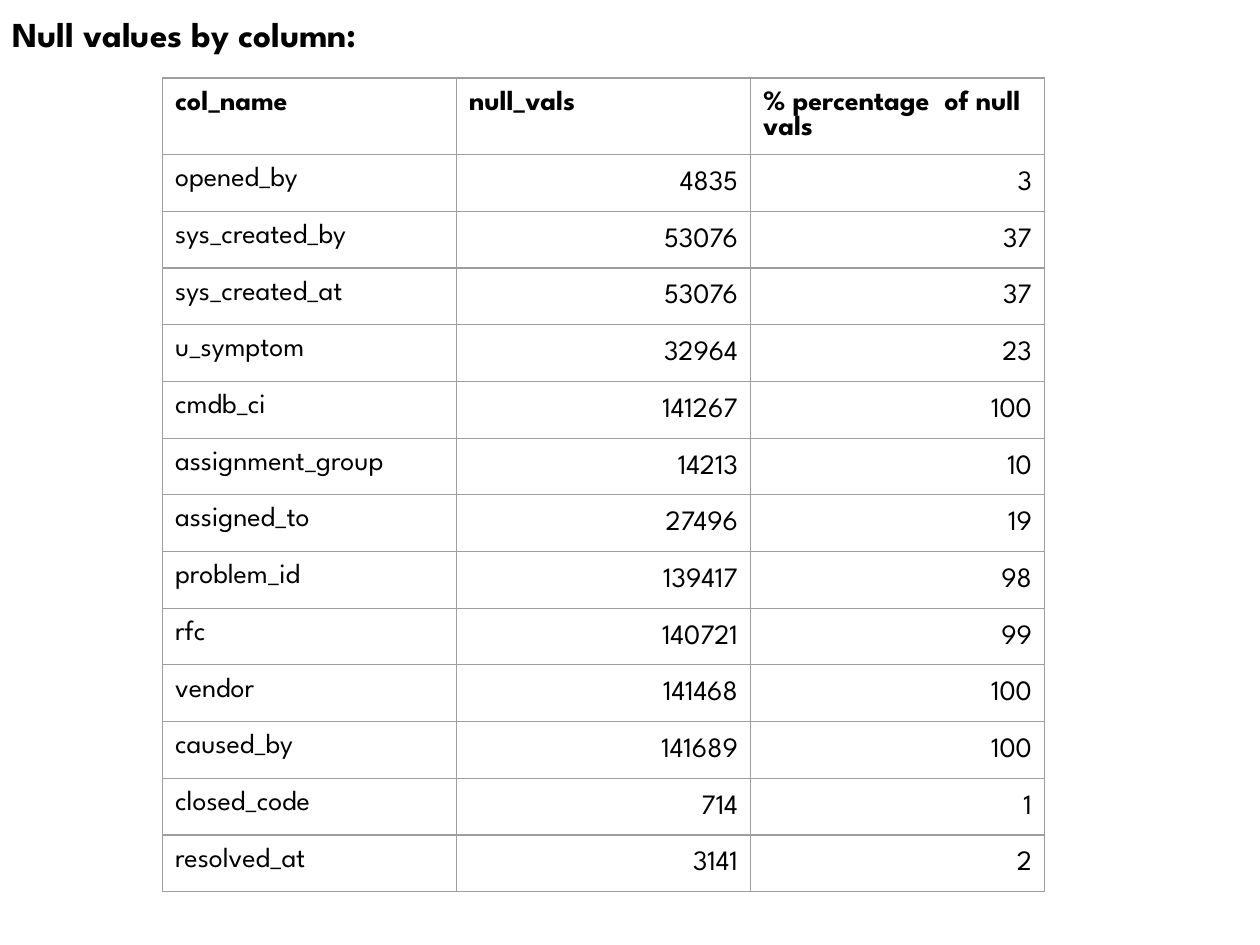
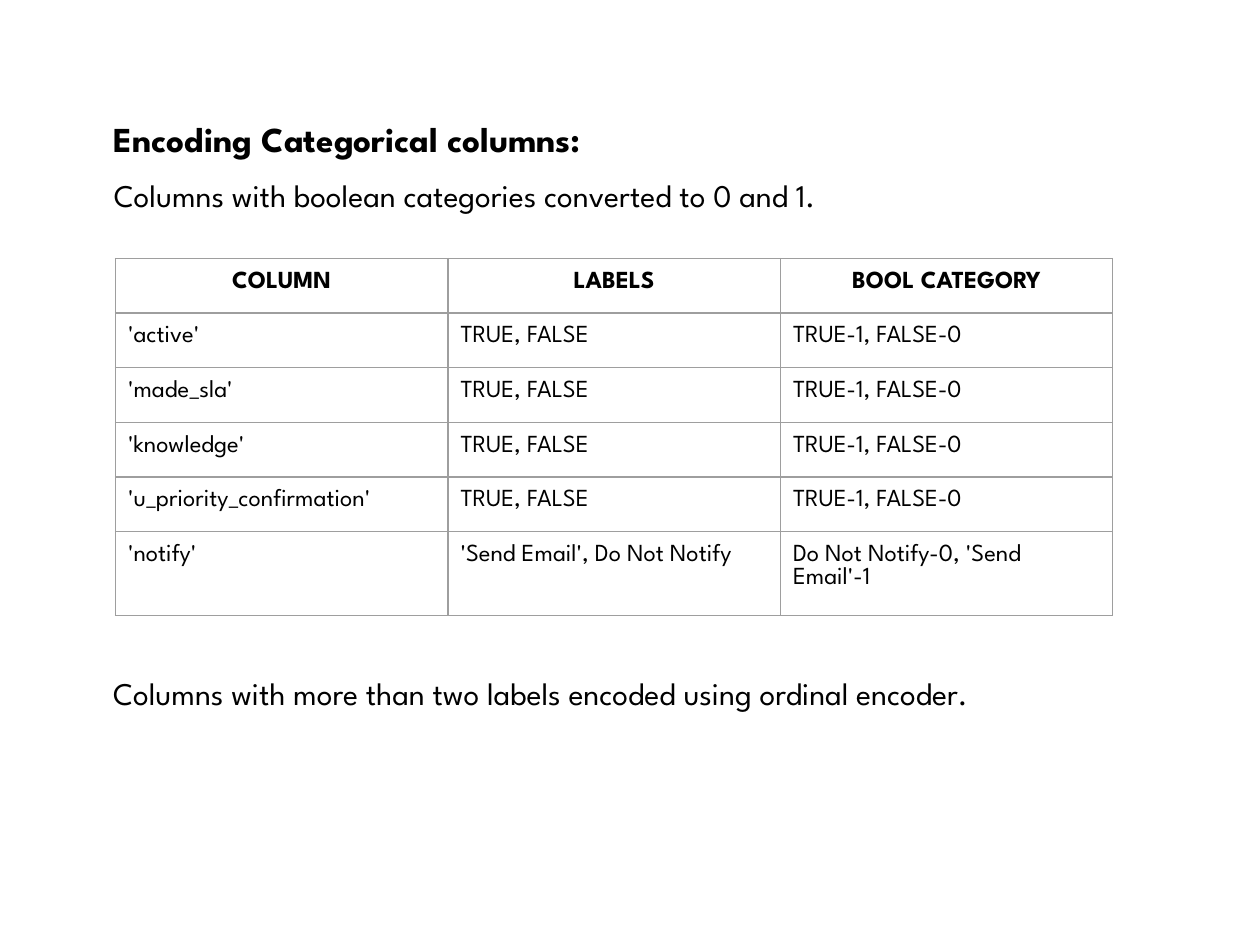
from dataclasses import dataclass
from typing import Optional

import lxml.etree
import pptx
import pptx.dml.color
import pptx.enum.text
import pptx.oxml.ns
import pptx.slide
import pptx.util

Pt = pptx.util.Pt
ALIGN = pptx.enum.text.PP_ALIGN

# Shared look
FONT = "League Spartan"
INK = pptx.dml.color.RGBColor(0x00, 0x00, 0x00)
PAPER = pptx.dml.color.RGBColor(0xFF, 0xFF, 0xFF)
GRID = pptx.dml.color.RGBColor(0x9E, 0x9E, 0x9E)
GRID_WIDTH = Pt(0.75)
INSET = Pt(7.2)
LOOSE = 1.15
TITLE_SIZE = 20
BODY_SIZE = 18


@dataclass(frozen=True)
class Line:
    text: str
    size: float
    bold: bool = False
    align: ALIGN = ALIGN.LEFT
    spacing: Optional[float] = None
    before: float = 0


@dataclass(frozen=True)
class TextBlock:
    left: float
    top: float
    width: float
    height: float
    lines: tuple[Line, ...]


@dataclass(frozen=True)
class Grid:
    left: float
    top: float
    column_width: float
    row_heights: list[float]
    rows: list[list[Line]]


def write_line(paragraph, line: Line) -> None:
    paragraph.text = line.text
    paragraph.alignment = line.align
    if line.spacing:
        paragraph.line_spacing = line.spacing
    if line.before:
        paragraph.space_before = Pt(line.before)
    font = paragraph.font
    font.name, font.size, font.bold = FONT, Pt(line.size), line.bold
    font.color.rgb = INK


def set_insets(target) -> None:
    target.margin_left = target.margin_right = INSET
    target.margin_top = target.margin_bottom = INSET


def add_text(slide: pptx.slide.Slide, block: TextBlock) -> None:
    box = slide.shapes.add_textbox(
        Pt(block.left), Pt(block.top), Pt(block.width), Pt(block.height))
    frame = box.text_frame
    frame.word_wrap = True
    set_insets(frame)
    for index, line in enumerate(block.lines):
        paragraph = frame.add_paragraph() if index else frame.paragraphs[0]
        write_line(paragraph, line)


def add_borders(cell) -> None:
    qn = pptx.oxml.ns.qn
    properties = cell._tc.get_or_add_tcPr()
    for side in ("a:lnL", "a:lnR", "a:lnT", "a:lnB"):
        edge = lxml.etree.SubElement(properties, qn(side), w=str(GRID_WIDTH))
        fill = lxml.etree.SubElement(edge, qn("a:solidFill"))
        lxml.etree.SubElement(fill, qn("a:srgbClr"), val=str(GRID))


def add_grid(slide: pptx.slide.Slide, grid: Grid) -> None:
    column_count = len(grid.rows[0])
    table = slide.shapes.add_table(
        len(grid.rows), column_count, Pt(grid.left), Pt(grid.top),
        Pt(grid.column_width * column_count), Pt(sum(grid.row_heights))).table
    table.first_row = table.horz_banding = False
    for column in table.columns:
        column.width = Pt(grid.column_width)
    for row, height, lines in zip(table.rows, grid.row_heights, grid.rows):
        row.height = Pt(height)
        for cell, line in zip(row.cells, lines):
            set_insets(cell)
            add_borders(cell)
            cell.fill.background()
            write_line(cell.text_frame.paragraphs[0], line)


def add_page(deck) -> pptx.slide.Slide:
    slide = deck.slides.add_slide(deck.slide_layouts[6])
    slide.background.fill.solid()
    slide.background.fill.fore_color.rgb = PAPER
    return slide


# Content of the null value table
NULL_HEADER = ("col_name", "null_vals", "% percentage  of null vals")
NULL_COUNTS = (
    ("opened_by", 4835, 3),
    ("sys_created_by", 53076, 37),
    ("sys_created_at", 53076, 37),
    ("u_symptom", 32964, 23),
    ("cmdb_ci", 141267, 100),
    ("assignment_group", 14213, 10),
    ("assigned_to", 27496, 19),
    ("problem_id", 139417, 98),
    ("rfc", 140721, 99),
    ("vendor", 141468, 100),
    ("caused_by", 141689, 100),
    ("closed_code", 714, 1),
    ("resolved_at", 3141, 2),
)

# Content of the encoding table
ENCODING_HEADER = ("COLUMN", "LABELS", "BOOL CATEGORY")
BOOLEAN_COLUMNS = ("'active'", "'made_sla'", "'knowledge'",
                   "'u_priority_confirmation'")
ENCODINGS = [(name, "TRUE, FALSE", "TRUE-1, FALSE-0")
             for name in BOOLEAN_COLUMNS]
ENCODINGS.append(("'notify'", "'Send Email', Do Not Notify",
                  "Do Not Notify-0, 'Send Email'-1"))


def build_null_values(deck) -> None:
    size = 16
    rows = [[Line(text, size, bold=True) for text in NULL_HEADER]]
    for name, *numbers in NULL_COUNTS:
        rows.append([Line(name, size)] + [
            Line(str(number), size, align=ALIGN.RIGHT, spacing=LOOSE)
            for number in numbers])
    slide = add_page(deck)
    add_grid(slide, Grid(92.9, 44.6, 168, [43.5] + [32.4] * len(NULL_COUNTS),
                         rows))
    add_text(slide, TextBlock(0, 0, 236, 39, (
        Line("Null values by column:", TITLE_SIZE, bold=True),)))


def build_encoding(deck) -> None:
    size = 14
    rows = [[Line(text, size, bold=True, align=ALIGN.CENTER)
             for text in ENCODING_HEADER]]
    rows += [[Line(text, size) for text in row] for row in ENCODINGS]
    slide = add_page(deck)
    add_text(slide, TextBlock(58, 56.5, 578, 136, (
        Line("Encoding Categorical columns:", TITLE_SIZE, bold=True,
             spacing=LOOSE),
        Line("Columns with boolean categories converted to 0 and 1.",
             BODY_SIZE, spacing=LOOSE, before=6))))
    add_grid(slide, Grid(66, 147.6, 190, [31.2] * len(ENCODINGS) + [48], rows))
    add_text(slide, TextBlock(57.6, 378, 605, 58, (
        Line("Columns with more than two labels encoded using ordinal encoder.",
             BODY_SIZE),)))


def main() -> None:
    deck = pptx.Presentation()
    deck.slide_width, deck.slide_height = Pt(720), Pt(540)
    build_null_values(deck)
    build_encoding(deck)
    deck.save("out.pptx")


if __name__ == "__main__":
    main()
